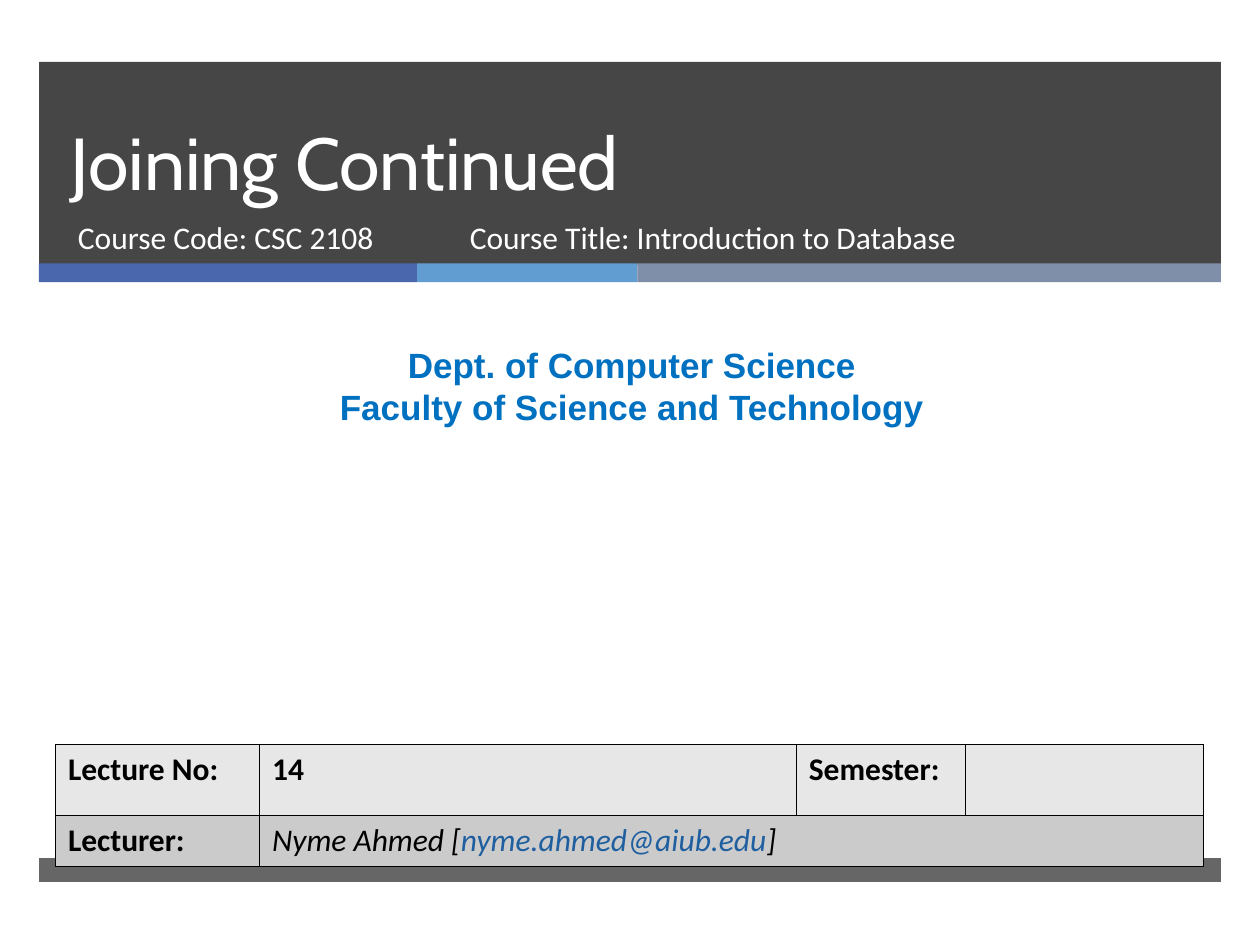
import pptx
import pptx.dml.color
import pptx.enum.text
import pptx.enum.shapes
import pptx.oxml
import pptx.oxml.ns
import pptx.util
from lxml import etree

Inches, Pt = pptx.util.Inches, pptx.util.Pt
RGBColor = pptx.dml.color.RGBColor
ALIGN, ANCHOR = pptx.enum.text.PP_ALIGN, pptx.enum.text.MSO_ANCHOR
qn = pptx.oxml.ns.qn

CHARCOAL = RGBColor(0x26, 0x26, 0x26)
INDIGO = RGBColor(0x4A, 0x66, 0xAC)
SKY = RGBColor(0x62, 0x9D, 0xD1)
SLATE = RGBColor(0x7F, 0x8F, 0xA9)
WHITE = RGBColor(0xFF, 0xFF, 0xFF)
BLACK = RGBColor(0, 0, 0)
DEPT_BLUE = RGBColor(0x00, 0x70, 0xC0)
MAIL_BLUE = RGBColor(0x1F, 0x5F, 0xA0)
ROW_FILLS = [RGBColor(0xE7, 0xE7, 0xE7), RGBColor(0xCB, 0xCB, 0xCB)]

# Content
TITLE = "Joining Continued"
COURSE_CODE = "Course Code: CSC 2108"
COURSE_TITLE = "Course Title: Introduction to Database"
DEPARTMENT = ["Dept. of Computer Science", "Faculty of Science and Technology"]
BOLD = dict(bold=True)
ITALIC = dict(italic=True)
LECTURE_ROWS = [
    [[("Lecture No:", BOLD)], [("14", BOLD)], [("Semester:", BOLD)], []],
    [[("Lecturer:", BOLD)],
     [("Nyme Ahmed [", ITALIC),
      ("nyme.ahmed@aiub.edu", dict(italic=True, color=MAIL_BLUE)),
      ("]", ITALIC)]],
]

# Layout
LEFT, BAND_WIDTH = 0.31, 9.38
STRIPES = [(3, INDIGO), (1.75, SKY), (4.63, SLATE)]
COLUMN_WIDTHS = [1.62, 4.26, 1.34, 1.89]
ROW_HEIGHTS = [0.56, 0.41]


def add_bar(left, top, width, height, color, opacity=100):
    bar = slide.shapes.add_shape(
        pptx.enum.shapes.MSO_SHAPE.RECTANGLE,
        Inches(left), Inches(top), Inches(width), Inches(height))
    bar.shadow.inherit = False
    bar.fill.solid()
    bar.fill.fore_color.rgb = color
    bar.line.fill.background()
    if opacity < 100:
        rgb = bar.element.spPr.find(".//" + qn("a:srgbClr"))
        etree.SubElement(rgb, qn("a:alpha"), val=str(opacity * 1000))


def add_run(paragraph, text, size, font, color, bold=False, italic=False):
    run = paragraph.add_run()
    run.text = text
    run.font.size = Pt(size)
    run.font.name = font
    run.font.color.rgb = color
    run.font.bold = bold
    run.font.italic = italic


def add_text(left, top, width, height, lines, align=ALIGN.LEFT, **style):
    frame = slide.shapes.add_textbox(
        Inches(left), Inches(top), Inches(width), Inches(height)).text_frame
    frame.word_wrap = True
    for index, line in enumerate(lines):
        paragraph = frame.add_paragraph() if index else frame.paragraphs[0]
        paragraph.alignment = align
        add_run(paragraph, line, **style)


def add_borders(cell):
    properties = cell._tc.get_or_add_tcPr()
    for position, side in enumerate(("a:lnL", "a:lnR", "a:lnT", "a:lnB")):
        line = etree.Element(qn(side), w=str(Pt(0.45)))
        fill = etree.SubElement(line, qn("a:solidFill"))
        etree.SubElement(fill, qn("a:srgbClr"), val=str(BLACK))
        properties.insert(position, line)


presentation = pptx.Presentation()
presentation.slide_width, presentation.slide_height = Inches(10), Inches(7.5)
slide = presentation.slides.add_slide(presentation.slide_layouts[5])

# Header band, stripes and footer band
add_bar(LEFT, 0.49, BAND_WIDTH, 1.61, CHARCOAL, 85)
stripe_left = LEFT
for stripe_width, stripe_color in STRIPES:
    add_bar(stripe_left, 2.09, stripe_width, 0.15, stripe_color)
    stripe_left += stripe_width
add_bar(LEFT, 6.81, BAND_WIDTH, 0.19, CHARCOAL, 70)

# Title, brought in front of the header band
title = slide.shapes.title
title.element.getparent().append(title.element)
title.left, title.top = Inches(0.46), Inches(0.49)
title.width, title.height = Inches(8.54), Inches(1.19)
title.text_frame.auto_size = pptx.enum.text.MSO_AUTO_SIZE.NONE
title.text_frame.vertical_anchor = ANCHOR.BOTTOM
heading = title.text_frame.paragraphs[0]
heading.alignment = ALIGN.LEFT
heading.line_spacing = Pt(46)
add_run(heading, TITLE, 42, "Cabin", WHITE)

# Course and department lines
course_style = dict(size=18, font="Calibri", color=WHITE)
add_text(0.52, 1.68, 3.05, 0.53, [COURSE_CODE], **course_style)
add_text(0.08, 2.68, 9.87, 0.77, DEPARTMENT, ALIGN.CENTER,
         size=20, font="Arial", color=DEPT_BLUE, bold=True)
add_text(3.63, 1.68, 4.55, 0.53, [COURSE_TITLE], **course_style)

# Lecture table
lecture_table = slide.shapes.add_table(
    len(ROW_HEIGHTS), len(COLUMN_WIDTHS), Inches(0.44), Inches(5.91),
    Inches(sum(COLUMN_WIDTHS)), Inches(sum(ROW_HEIGHTS))).table
for column, column_width in zip(lecture_table.columns, COLUMN_WIDTHS):
    column.width = Inches(column_width)
for row, row_height, row_fill in zip(lecture_table.rows, ROW_HEIGHTS, ROW_FILLS):
    row.height = Inches(row_height)
    for cell in row.cells:
        cell.fill.solid()
        cell.fill.fore_color.rgb = row_fill
        add_borders(cell)
lecture_table.cell(1, 1).merge(lecture_table.cell(1, 3))
for row, row_content in zip(lecture_table.rows, LECTURE_ROWS):
    for cell, runs in zip(row.cells, row_content):
        paragraph = cell.text_frame.paragraphs[0]
        paragraph.font.size = Pt(18)
        for text, style in runs:
            add_run(paragraph, text, **{
                "size": 18, "font": "Calibri", "color": BLACK, **style})

presentation.save("out.pptx")
